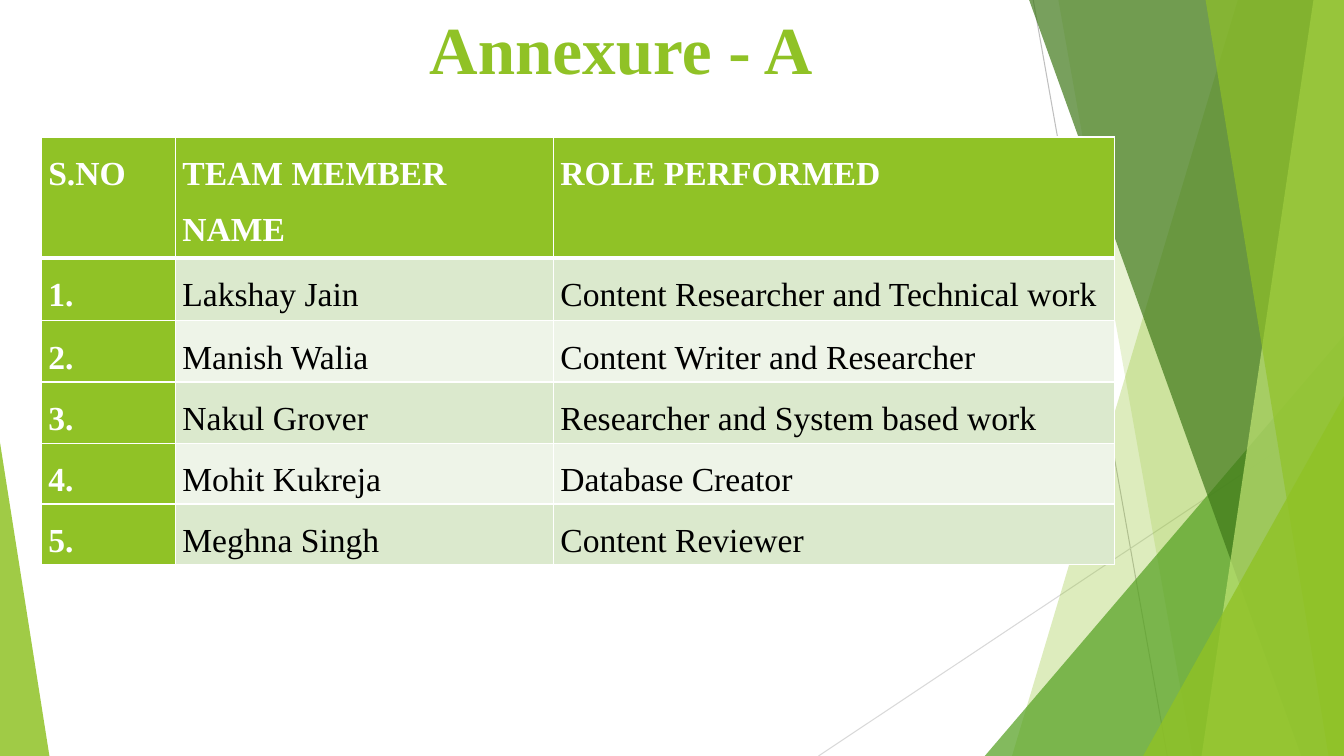
from lxml.etree import SubElement
from pptx import Presentation
from pptx.dml.color import RGBColor
from pptx.enum.shapes import MSO_CONNECTOR, MSO_SHAPE
from pptx.enum.text import MSO_ANCHOR, PP_ALIGN
from pptx.oxml.ns import qn
from pptx.util import Inches, Pt

GREEN = RGBColor(0x90, 0xC2, 0x26)
LEAF = RGBColor(0x54, 0xA0, 0x21)
FOREST = RGBColor(0x3F, 0x78, 0x19)
LIME = RGBColor(0xC0, 0xE4, 0x74)
GREY = RGBColor(0xBF, 0xBF, 0xBF)
PALE_GREY = RGBColor(0xD9, 0xD9, 0xD9)
BAND_DARK = RGBColor(0xDB, 0xE9, 0xCD)
BAND_LIGHT = RGBColor(0xEE, 0xF4, 0xE8)
WHITE = RGBColor(0xFF, 0xFF, 0xFF)
BLACK = RGBColor(0, 0, 0)
FONT = "Times New Roman"

# Grid of tenth-inch cells
CELL = Inches(0.1)
COLS, ROWS = 133.33, 75


def grid(*counts):
    return [round(count * CELL) for count in counts]


def paint(shape, color, opacity):
    shape.shadow.inherit = False
    shape.line.fill.background()
    shape.fill.solid()
    shape.fill.fore_color.rgb = color
    tint = shape.fill._xPr.find(qn("a:solidFill"))[0]
    SubElement(tint, qn("a:alpha"), val=str(opacity * 1000))


deck = Presentation()
deck.slide_width, deck.slide_height = grid(COLS, ROWS)
page = deck.slides.add_slide(deck.slide_layouts[6])

# Thin background lines
for ends, color in [((102.5, 0, 115.8, ROWS), GREY),
                    ((COLS, 40.3, 81.2, ROWS), PALE_GREY)]:
    line = page.shapes.add_connector(MSO_CONNECTOR.STRAIGHT, *grid(*ends))
    line.line.color.rgb = color
    line.line.width = Pt(0.75)
    SubElement(line._element.spPr, qn("a:effectLst"))

# Facets, back to front. Bands: top x, bottom x, reaching the right edge.
# Triangles: left, top, width, apex, standing on the bottom edge.
facets = [
    ((122.8, 100.4), GREEN, 30),
    ((105, 118.3), GREEN, 20),
    ((97.7, 33.3, 35.63, 1), LEAF, 72),
    ((102.1, 129.1), FOREST, 70),
    ((130.3, 119.2), LIME, 70),
    ((119.6, 131.8), GREEN, 65),
    ((113.4, 39.3, 19.93, 1), GREEN, 80),
    ((0, 43.9, 4.9, 0), GREEN, 85),
]
for place, color, opacity in facets:
    if len(place) == 2:
        top_x, bottom_x = place
        outline = page.shapes.build_freeform(*grid(top_x, 0))
        corners = [(COLS, 0), (COLS, ROWS), (bottom_x, ROWS)]
        outline.add_line_segments([grid(*corner) for corner in corners], close=True)
        facet = outline.convert_to_shape()
    else:
        left, top, width, apex = place
        facet = page.shapes.add_shape(MSO_SHAPE.ISOSCELES_TRIANGLE,
                                      *grid(left, top, width, ROWS - top))
        facet.adjustments[0] = apex
    paint(facet, color, opacity)

# Title
title = page.shapes.add_textbox(*grid(4.1, -0.8, 115, 14.5)).text_frame
title.word_wrap = True
title.vertical_anchor = MSO_ANCHOR.TOP
title.margin_top = Inches(0.15)
para = title.paragraphs[0]
para.text = "Annexure - A"
para.alignment = PP_ALIGN.CENTER
para.font.name, para.font.size, para.font.bold = FONT, Pt(48), True
para.font.color.rgb = GREEN

# Team table
team = [
    ("S.NO", "TEAM MEMBER NAME", "ROLE PERFORMED"),
    ("1.", "Lakshay Jain", "Content Researcher and Technical work"),
    ("2.", "Manish Walia", "Content Writer and Researcher"),
    ("3.", "Nakul Grover", "Researcher and System based work"),
    ("4.", "Mohit Kukreja", "Database Creator"),
    ("5.", "Meghna Singh", "Content Reviewer"),
]
widths = grid(13.3, 37.5, 55.7)
heights = grid(11.1, 6.2, 6.1, 6.1, 5.5, 5.5)
table = page.shapes.add_table(len(team), len(widths), *grid(4.1, 13.6),
                              sum(widths), sum(heights)).table
for column, width in zip(table.columns, widths):
    column.width = width
for row, height in zip(table.rows, heights):
    row.height = height

for r, texts in enumerate(team):
    for c, text in enumerate(texts):
        cell = table.cell(r, c)
        heading = r == 0 or c == 0
        cell.margin_left = cell.margin_right = Inches(0.07)
        cell.margin_top = cell.margin_bottom = 0

        # White borders, thicker under the header row
        for side in "LRTB":
            thick = (r, side) in [(0, "B"), (1, "T")]
            border = SubElement(cell._tc.get_or_add_tcPr(), qn(f"a:ln{side}"),
                                w=str(Pt(3 if thick else 1)))
            ink = SubElement(border, qn("a:solidFill"))
            SubElement(ink, qn("a:srgbClr"), val=str(WHITE))

        cell.fill.solid()
        band = BAND_DARK if r % 2 else BAND_LIGHT
        cell.fill.fore_color.rgb = GREEN if heading else band

        para = cell.text_frame.paragraphs[0]
        para.text = text
        para.line_spacing = 1.5
        para.space_after = Pt(8)
        para.font.name, para.font.size, para.font.bold = FONT, Pt(24), heading
        para.font.color.rgb = WHITE if heading else BLACK

deck.save("out.pptx")
